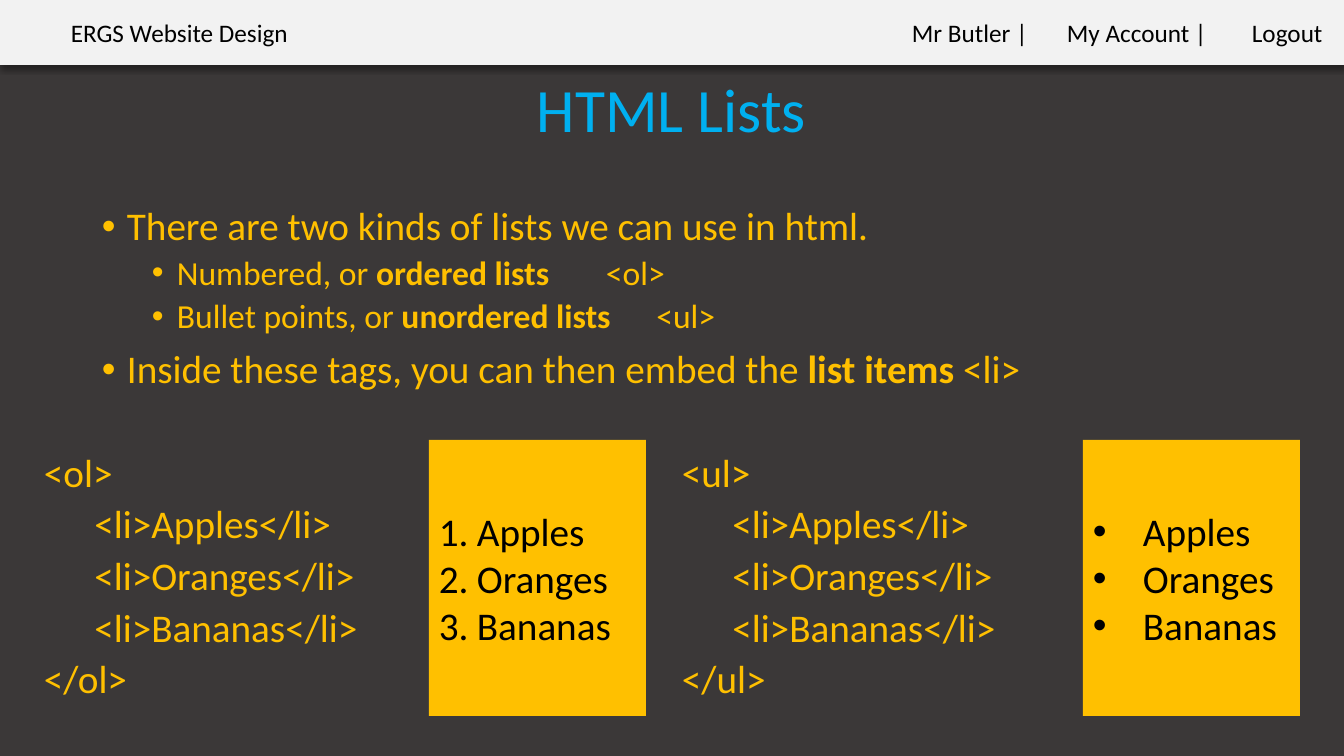
from lxml import etree
from pptx import Presentation
from pptx.dml.color import RGBColor
from pptx.enum.shapes import MSO_SHAPE
from pptx.enum.text import MSO_ANCHOR, PP_ALIGN
from pptx.oxml.ns import qn
from pptx.util import Pt

RECT = MSO_SHAPE.RECTANGLE
MIDDLE = MSO_ANCHOR.MIDDLE
LEFT, CENTER = PP_ALIGN.LEFT, PP_ALIGN.CENTER

FONT = "Calibri"
BLACK, AMBER, BLUE = "000000", "FFC000", "00B0F0"
CHARCOAL, PALE = "3B3838", "F2F2F2"
FRUITS = ("Apples", "Oranges", "Bananas")


def px(n):
    return round(n * 914400 / 100.8)


def rgb(value):
    return RGBColor.from_string(value)


def format_runs(p, size, color):
    for r in p.runs:
        r.font.size = Pt(size)
        r.font.name = FONT
        r.font.color.rgb = rgb(color)


def add_bullet(p, left, hang, numbered=False):
    """Give a paragraph a hanging bullet or an automatic number."""
    pPr = p._p.get_or_add_pPr()
    pPr.set("marL", str(px(left)))
    pPr.set("indent", str(-px(hang)))
    if numbered:
        etree.SubElement(pPr, qn("a:buFont"), typeface="+mj-lt")
        etree.SubElement(pPr, qn("a:buAutoNum"), type="arabicPeriod")
    else:
        etree.SubElement(pPr, qn("a:buFont"), typeface="Arial")
        etree.SubElement(pPr, qn("a:buChar"), char="•")


def add_tabs(p, stops):
    tabs = etree.SubElement(p._p.get_or_add_pPr(), qn("a:tabLst"))
    for stop in stops:
        etree.SubElement(tabs, qn("a:tab"), pos=str(px(stop)), algn="l")


def add_rect(s, box, color):
    sp = s.shapes.add_shape(RECT, *map(px, box))
    sp.shadow.inherit = False
    sp.fill.solid()
    sp.fill.fore_color.rgb = rgb(color)
    sp.line.fill.background()
    return sp


def add_text_frame(s, box):
    tf = s.shapes.add_textbox(*map(px, box)).text_frame
    tf.word_wrap = True
    return tf


def paragraphs(tf, count):
    """Return the first paragraph of the frame and as many new ones as needed."""
    return [tf.paragraphs[0]] + [tf.add_paragraph() for _ in range(count - 1)]


def add_header(s, box):
    x, y, w, h = box
    bar = add_rect(s, box, PALE)
    effects = bar._element.spPr.find(qn("a:effectLst"))
    shadow = etree.SubElement(effects, qn("a:outerShdw"), blurRad=str(Pt(4)),
                              dist=str(Pt(3)), dir="5400000", algn="t", rotWithShape="0")
    color = etree.SubElement(shadow, qn("a:srgbClr"), val=BLACK)
    etree.SubElement(color, qn("a:alpha"), val="40000")

    site = add_text_frame(s, (x + 61, y + 12, 320, 40)).paragraphs[0]
    site.text = "ERGS Website Design"
    format_runs(site, 18, BLACK)

    tf = add_text_frame(s, (x + w - 553, y + 12, 542, 40))
    tf.margin_left, tf.margin_right = px(121), 0
    menu = tf.paragraphs[0]
    menu.text = "Mr Butler |\tMy Account |\tLogout"
    add_tabs(menu, (155, 340))
    format_runs(menu, 18, BLACK)


def place_title(s, box):
    sp = s.shapes.title
    sp.left, sp.top, sp.width, sp.height = map(px, box)
    tf = sp.text_frame
    tf.text = "HTML Lists"
    tf.vertical_anchor = MIDDLE
    p = tf.paragraphs[0]
    p.alignment = CENTER
    p.line_spacing = 0.9
    format_runs(p, 44, BLUE)


def add_points(s, box):
    """Add the two-level bullets; each entry is level, plain, bold and plain text."""
    points = (
        (0, "There are two kinds of lists we can use in html.", "", ""),
        (1, "Numbered, or ", "ordered lists", "\t\t<ol>"),
        (1, "Bullet points, or ", "unordered lists", "\t<ul>"),
        (0, "Inside these tags, you can then embed the ", "list items", " <li>"),
    )
    tf = add_text_frame(s, box)
    for i, (p, (level, *parts)) in enumerate(zip(paragraphs(tf, len(points)), points)):
        p.level = level
        p.line_spacing = 0.9
        if i:
            p.space_before = Pt(5 if level else 10)
        add_bullet(p, 25 + 50 * level, 25)
        for text, bold in zip(parts, (False, True, False)):
            if text:
                r = p.add_run()
                r.text = text
                r.font.bold = bold
        format_runs(p, 24 if level else 28, AMBER)


def add_code(s, box, tag):
    lines = [f"<{tag}>", *(f"\t<li>{fruit}</li>" for fruit in FRUITS), f"</{tag}>"]
    tf = add_text_frame(s, box)
    for i, (p, line) in enumerate(zip(paragraphs(tf, len(lines)), lines)):
        p.text = line
        p.line_spacing = 0.8
        if i:
            p.space_before = Pt(10)
        format_runs(p, 28, AMBER)


def add_result(s, box, hang, numbered):
    tf = add_rect(s, box, AMBER).text_frame
    tf.word_wrap = True
    tf.vertical_anchor = MIDDLE
    for p, fruit in zip(paragraphs(tf, len(FRUITS)), FRUITS):
        p.text = fruit
        p.alignment = LEFT
        add_bullet(p, hang, hang, numbered)
        format_runs(p, 28, BLACK)


def add_example(s, box, tag, code_width, hang, numbered=False):
    """Place list code on the left and the list it gives on the right."""
    x, y, w, h = box
    add_code(s, (x, y + 12, code_width, h), tag)
    add_result(s, (x + w - 217, y, 217, h), hang, numbered)


def main():
    prs = Presentation()
    prs.slide_width, prs.slide_height = px(1344), px(756)
    s = prs.slides.add_slide(prs.slide_layouts[5])
    s.background.fill.solid()
    s.background.fill.fore_color.rgb = rgb(CHARCOAL)

    add_header(s, (0, 0, 1344, 65))
    place_title(s, (92, 40, 1159, 146))
    add_points(s, (92, 202, 1159, 205))
    add_example(s, (34, 440, 612, 276), "ol", 395, 38, numbered=True)
    add_example(s, (672, 440, 628, 276), "ul", 385, 50)
    prs.save("out.pptx")


if __name__ == "__main__":
    main()
